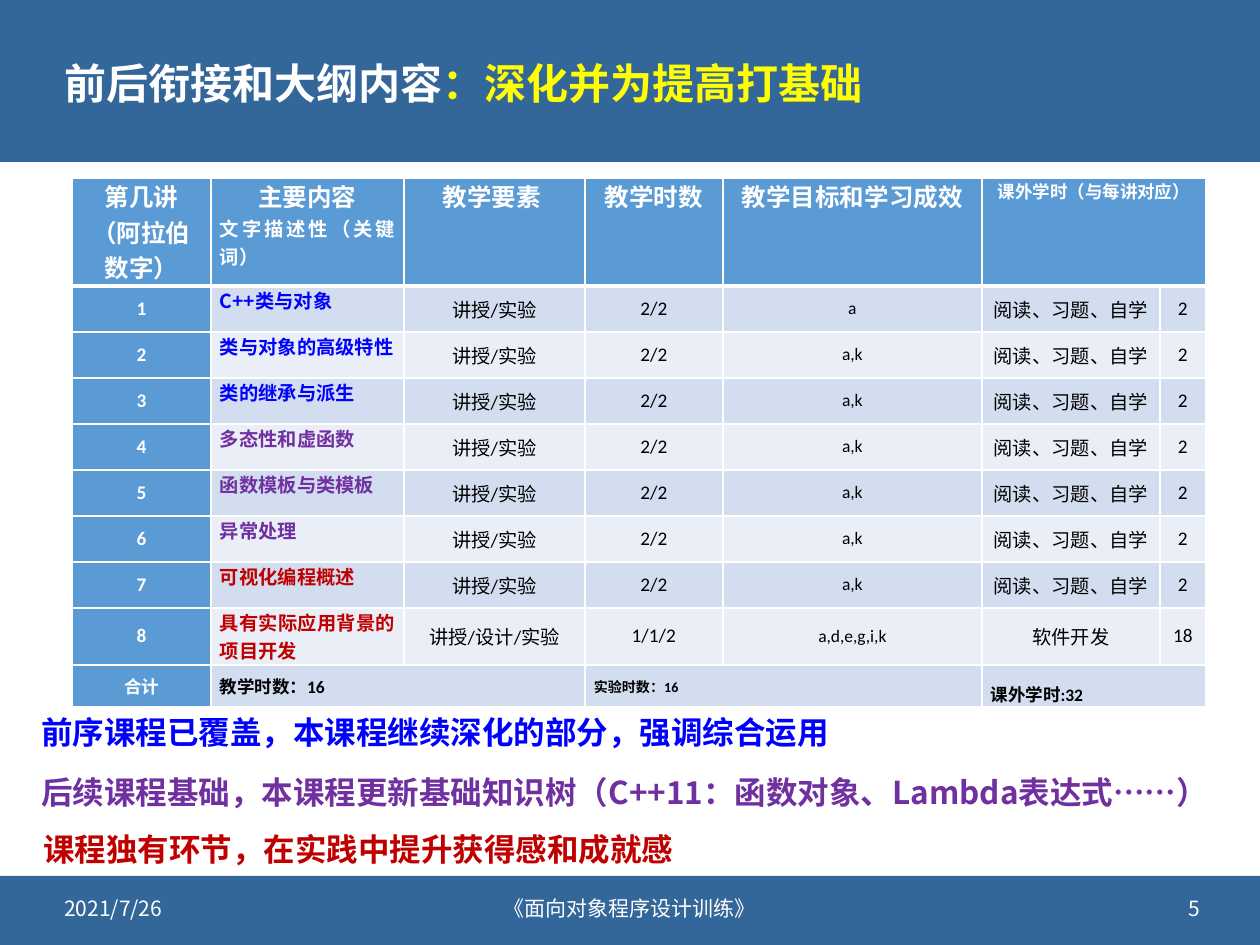
from lxml.etree import SubElement
from pptx import Presentation
from pptx.dml.color import RGBColor
from pptx.enum.shapes import MSO_SHAPE
from pptx.enum.text import MSO_ANCHOR, PP_ALIGN
from pptx.oxml import parse_xml
from pptx.oxml.ns import nsdecls, qn
from pptx.util import Pt

COLORS = {
    "band": "336699", "white": "FFFFFF", "yellow": "FFFF00", "black": "000000",
    "head": "5B9BD5", "odd": "D2DEEF", "even": "EAEFF7",
    "covered": "0000FF", "follow_up": "7030A0", "unique": "C00000",
}
CJK = "Noto Sans CJK SC"
LATIN = "Calibri"
LEFT, CENTER, RIGHT, JUSTIFY = (
    PP_ALIGN.LEFT, PP_ALIGN.CENTER, PP_ALIGN.RIGHT, PP_ALIGN.JUSTIFY)
TOP, MIDDLE, BOTTOM = MSO_ANCHOR.TOP, MSO_ANCHOR.MIDDLE, MSO_ANCHOR.BOTTOM

# Content
TITLE = [("前后衔接和大纲内容", "white"), ("：深化并为提高打基础", "yellow")]
BANDS = [(0, 162), (876, 69)]  # top, height
FOOTER = [  # left, width, alignment, text
    (52, 302, LEFT, "2021/7/26"),
    (403, 454, CENTER, "《面向对象程序设计训练》"),
    (911, 302, RIGHT, "5"),
]
HEADERS = [  # lines of (text, size, alignment)
    [("第几讲", 14, CENTER), ("（阿拉伯数字）", 14, CENTER)],
    [("主要内容", 14, CENTER), ("文字描述性（关键词）", 11, JUSTIFY)],
    [("教学要素 ", 14, CENTER)],
    [("教学时数", 14, CENTER)],
    [("教学目标和学习成效", 14, CENTER)],
    [("课外学时（与每讲对应）", 10, CENTER)],
]
USUAL = ("讲授/实验", "2/2", "a,k", "阅读、习题、自学", "2")
LECTURES = [  # topic, colour, remaining columns
    ("C++类与对象", "covered", ("讲授/实验", "2/2", "a", "阅读、习题、自学", "2")),
    ("类与对象的高级特性", "covered", USUAL),
    ("类的继承与派生", "covered", USUAL),
    ("多态性和虚函数", "follow_up", USUAL),
    ("函数模板与类模板", "follow_up", USUAL),
    ("异常处理", "follow_up", USUAL),
    ("可视化编程概述", "unique", USUAL),
    ("具有实际应用背景的项目开发", "unique",
     ("讲授/设计/实验", "1/1/2", "a,d,e,g,i,k", "软件开发", "18")),
]
DETAIL_SIZES = (11, 11, 10, 11, 11)
TOTALS = [  # first column, text, size, anchor
    (1, "教学时数：16", 10, MIDDLE),
    (3, "实验时数：16", 8, MIDDLE),
    (5, "课外学时:32", 10, BOTTOM),
]
NOTES = [  # left, top, width, text, colour
    (29, 707, 820, "前序课程已覆盖，本课程继续深化的部分，强调综合运用", "covered"),
    (29, 767, 1237, "后续课程基础，本课程更新基础知识树（C++11：函数对象、Lambda表达式……）",
     "follow_up"),
    (31, 824, 662, "课程独有环节，在实践中提升获得感和成就感", "unique"),
]
COLUMN_WIDTHS = (139, 193, 181, 138, 259, 178, 46)
# Header, one-line lectures, the two-line last lecture, totals
ROW_HEIGHTS = [108] + [46] * (len(LECTURES) - 1) + [57, 42]


def px(value):
    return round(value * 914400 / 126)


def rgb(name):
    return RGBColor.from_string(COLORS[name])


def style_run(run, size, color, bold=False, font=CJK):
    run.font.size = Pt(size)
    run.font.bold = bold
    run.font.color.rgb = rgb(color)
    run.font.name = font
    SubElement(run._r.get_or_add_rPr(), qn("a:ea")).set("typeface", CJK)


def add_text(left, top, width, height, parts, size, bold=False,
             align=LEFT, anchor=MIDDLE, wrap=True):
    text_box = slide.shapes.add_textbox(px(left), px(top), px(width), px(height))
    frame = text_box.text_frame
    frame.word_wrap = wrap
    frame.vertical_anchor = anchor
    paragraph = frame.paragraphs[0]
    paragraph.alignment = align
    for text, color in parts:
        run = paragraph.add_run()
        run.text = text
        style_run(run, size, color, bold)
    return paragraph


def set_borders(cell, top=1, bottom=1):
    properties = cell._tc.get_or_add_tcPr()
    sides = (("lnL", 1), ("lnR", 1), ("lnT", top), ("lnB", bottom))
    for index, (side, points) in enumerate(sides):
        properties.insert(index, parse_xml(
            f'<a:{side} {nsdecls("a")} w="{Pt(points)}"><a:solidFill>'
            f'<a:srgbClr val="{COLORS["white"]}"/></a:solidFill></a:{side}>'))


def fill_cell(row, column, lines, color, bold=True, anchor=MIDDLE, font=LATIN):
    cell = table.cell(row, column)
    cell.vertical_anchor = anchor
    frame = cell.text_frame
    frame.text = "\n".join(text for text, _, _ in lines)
    for paragraph, (_, size, align) in zip(frame.paragraphs, lines):
        paragraph.alignment = align
        style_run(paragraph.runs[0], size, color, bold, font)


presentation = Presentation()
presentation.slide_width, presentation.slide_height = px(1260), px(945)
slide = presentation.slides.add_slide(presentation.slide_layouts[6])

# Top and bottom bands
for top, height in BANDS:
    band = slide.shapes.add_shape(MSO_SHAPE.RECTANGLE, 0, px(top), px(1260), px(height))
    band.shadow.inherit = False
    band.fill.solid()
    band.fill.fore_color.rgb = rgb("band")
    band.line.fill.background()

# Title and footer
add_text(52, 23, 1158, 125, TITLE, 24, bold=True).line_spacing = 0.9
for left, width, align, text in FOOTER:
    add_text(left, 883, width, 50, [(text, "white")], 12, align=align)

# Table grid
table = slide.shapes.add_table(
    len(ROW_HEIGHTS), len(COLUMN_WIDTHS), px(72), px(178),
    px(sum(COLUMN_WIDTHS)), px(sum(ROW_HEIGHTS))).table
for column, width in zip(table.columns, COLUMN_WIDTHS):
    column.width = px(width)
for row, height in zip(table.rows, ROW_HEIGHTS):
    row.height = px(height)
last = len(ROW_HEIGHTS) - 1
for row in range(last + 1):
    for column in range(len(COLUMN_WIDTHS)):
        cell = table.cell(row, column)
        cell.margin_left = cell.margin_right = px(9)
        cell.margin_top = cell.margin_bottom = 0
        stripe = "odd" if row % 2 else "even"
        cell.fill.solid()
        cell.fill.fore_color.rgb = rgb("head" if row == 0 or column == 0 else stripe)
        set_borders(cell, top=3 if row == 1 else 1, bottom=3 if row == 0 else 1)
for row, column in ((0, 5), (last, 1), (last, 3), (last, 5)):
    table.cell(row, column).merge(table.cell(row, column + 1))

# Table text
for column, lines in enumerate(HEADERS):
    fill_cell(0, column, lines, "white", anchor=TOP)
for row, (topic, color, details) in enumerate(LECTURES, 1):
    fill_cell(row, 0, [(str(row), 11, CENTER)], "white")
    fill_cell(row, 1, [(topic, 11, JUSTIFY)], color, anchor=TOP, font=CJK)
    for column, (text, size) in enumerate(zip(details, DETAIL_SIZES), 2):
        fill_cell(row, column, [(text, size, CENTER)], "black", bold=False)
fill_cell(last, 0, [("合计", 10, CENTER)], "white")
for column, text, size, anchor in TOTALS:
    fill_cell(last, column, [(text, size, JUSTIFY)], "black", anchor=anchor)

# Notes explaining the topic colours
for left, top, width, text, color in NOTES:
    add_text(left, top, width, 50, [(text, color)], 18, bold=True, anchor=TOP, wrap=False)

presentation.save("out.pptx")
